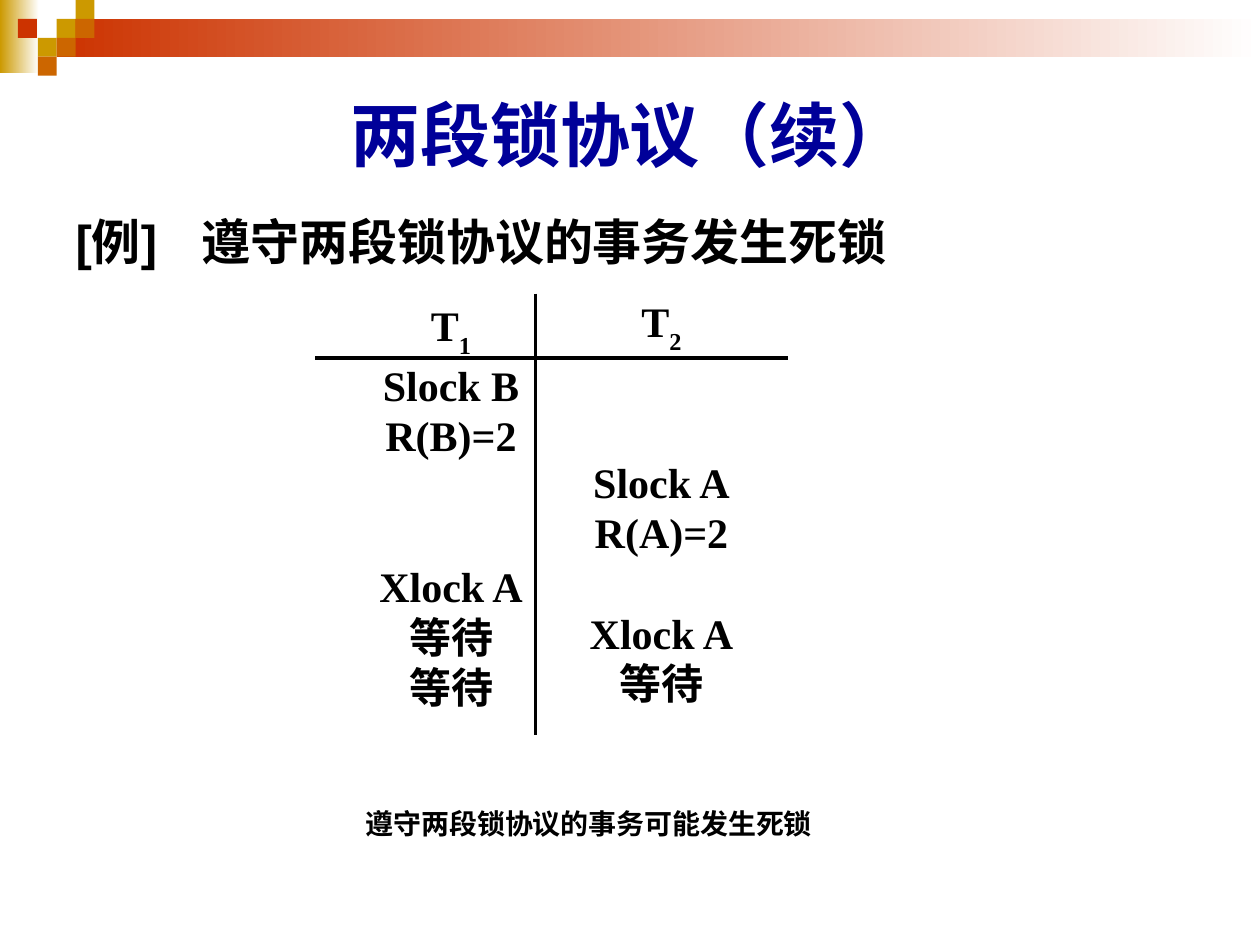
from lxml.etree import SubElement
from pptx import Presentation
from pptx.dml.color import RGBColor
from pptx.enum.shapes import MSO_CONNECTOR, MSO_SHAPE
from pptx.enum.text import MSO_ANCHOR, MSO_AUTO_SIZE, PP_ALIGN
from pptx.oxml.ns import qn
from pptx.util import Inches, Pt

HUES = {
    "gold": "CC9900",
    "rust": "CC6600",
    "red": "CC3300",
    "navy": "000099",
    "black": "000000",
    "white": "FFFFFF",
}
ROW = 28.8


def assign(item, values):
    for name, value in values.items():
        setattr(item, name, value)


class Deck:
    def __init__(self, width, height):
        self.file = Presentation()
        assign(self.file, {"slide_width": Inches(width), "slide_height": Inches(height)})
        self.slide = self.file.slides.add_slide(self.file.slide_layouts[1])
        self.shapes = self.slide.shapes

    def hue(self, name):
        return RGBColor.from_string(HUES[name])

    def font(self, item, size, face, hue="black"):
        assign(item.font, {"size": Pt(size), "name": face, "bold": True})
        item.font.color.rgb = self.hue(hue)

    def place(self, shape, box):
        names = ("left", "top", "width", "height")
        assign(shape, dict(zip(names, map(Inches, box))))

    def block(self, box, hue, fade=False):
        shape = self.shapes.add_shape(MSO_SHAPE.RECTANGLE, *map(Inches, box))
        shape.shadow.inherit = False
        shape.line.fill.background()
        if fade:
            shape.fill.gradient()
            shape.fill.gradient_angle = 0
            for stop, tint in zip(shape.fill.gradient_stops, (hue, "white")):
                stop.color.rgb = self.hue(tint)
        else:
            shape.fill.solid()
            shape.fill.fore_color.rgb = self.hue(hue)

    def title(self, text, box):
        shape = self.shapes.title
        self.place(shape, box)
        frame = shape.text_frame
        assign(frame, {"text": text, "vertical_anchor": MSO_ANCHOR.MIDDLE,
                       "auto_size": MSO_AUTO_SIZE.NONE})
        para = frame.paragraphs[0]
        para.alignment = PP_ALIGN.CENTER
        self.font(para.runs[0], 40, "Arial", "navy")

    def body(self, text, box, stop):
        shape = self.slide.placeholders[1]
        self.place(shape, box)
        frame = shape.text_frame
        assign(frame, {"text": text, "auto_size": MSO_AUTO_SIZE.NONE})
        para = frame.paragraphs[0]
        para.space_before = Pt(7)
        for run in para.runs:
            self.font(run, 28, "Arial")
        props = para._p.get_or_add_pPr()
        props.set("marL", "0")
        props.set("indent", "0")
        SubElement(props, qn("a:buNone"))
        tabs = SubElement(props, qn("a:tabLst"))
        SubElement(tabs, qn("a:tab"), pos=str(Inches(stop)), algn="l")

    def text(self, box, inset=0.05):
        frame = self.shapes.add_textbox(*map(Inches, box)).text_frame
        assign(frame, {"word_wrap": False, "margin_top": Inches(inset),
                       "vertical_anchor": MSO_ANCHOR.TOP})
        frame.paragraphs[0].alignment = PP_ALIGN.CENTER
        return frame

    def steps(self, box, inset, index, rows):
        frame = self.text(box, inset)
        para = frame.paragraphs[0]
        para.line_spacing = Pt(ROW)
        for part in ("T", index):
            run = para.add_run()
            run.text = part
            self.font(run, 24, "Times New Roman")
        run.font._element.set("baseline", "-30000")
        for gap, words in rows:
            para = frame.add_paragraph()
            assign(para, {"alignment": PP_ALIGN.CENTER, "line_spacing": Pt(ROW),
                          "space_before": Pt(gap * ROW)})
            run = para.add_run()
            run.text = words
            self.font(run, 24, "Times New Roman")

    def note(self, text, box):
        run = self.text(box).paragraphs[0].add_run()
        run.text = text
        self.font(run, 16, "Times New Roman")

    def rule(self, *ends):
        line = self.shapes.add_connector(MSO_CONNECTOR.STRAIGHT, *map(Inches, ends))
        line.line.width = Pt(2.25)
        line.line.color.rgb = self.hue("black")
        SubElement(line._element.spPr, qn("a:effectLst"))


def main():
    deck = Deck(10, 7.5)
    deck.block((0, 0, 0.31, 0.58), "gold", True)
    deck.block((0.45, 0.15, 9.55, 0.3), "red", True)
    side = 0.15
    tiles = [(3, 1, "gold"), (4, 0, "gold"), (4, 1, "rust"), (2, 2, "gold"),
             (0.95, 1, "red"), (3, 2, "rust"), (2, 3, "rust")]
    for col, row, hue in tiles:
        deck.block((col * side, row * side, side, side), hue)

    deck.title("两段锁协议（续）", (0.5, 0.5, 9, 1.12))
    deck.body("[例]\t遵守两段锁协议的事务发生死锁", (0.5, 1.63, 9, 4.56), 1.14)

    deck.steps((2.91, 2.25, 1.34, 3.92), 0.2, "1",
               [(0, "Slock B"), (0, "R(B)=2"), (2, "Xlock A"), (0, "等待"), (0, "等待")])
    deck.steps((4.58, 2.42, 1.34, 3.92), 0, "2",
               [(2, "Slock A"), (0, "R(A)=2"), (1, "Xlock A"), (0, "等待")])
    deck.rule(2.5, 2.84, 6.25, 2.84)
    deck.rule(4.25, 2.33, 4.25, 5.83)
    deck.note("遵守两段锁协议的事务可能发生死锁", (2.4, 6.35, 4.55, 0.4))
    deck.file.save("out.pptx")


if __name__ == "__main__":
    main()
